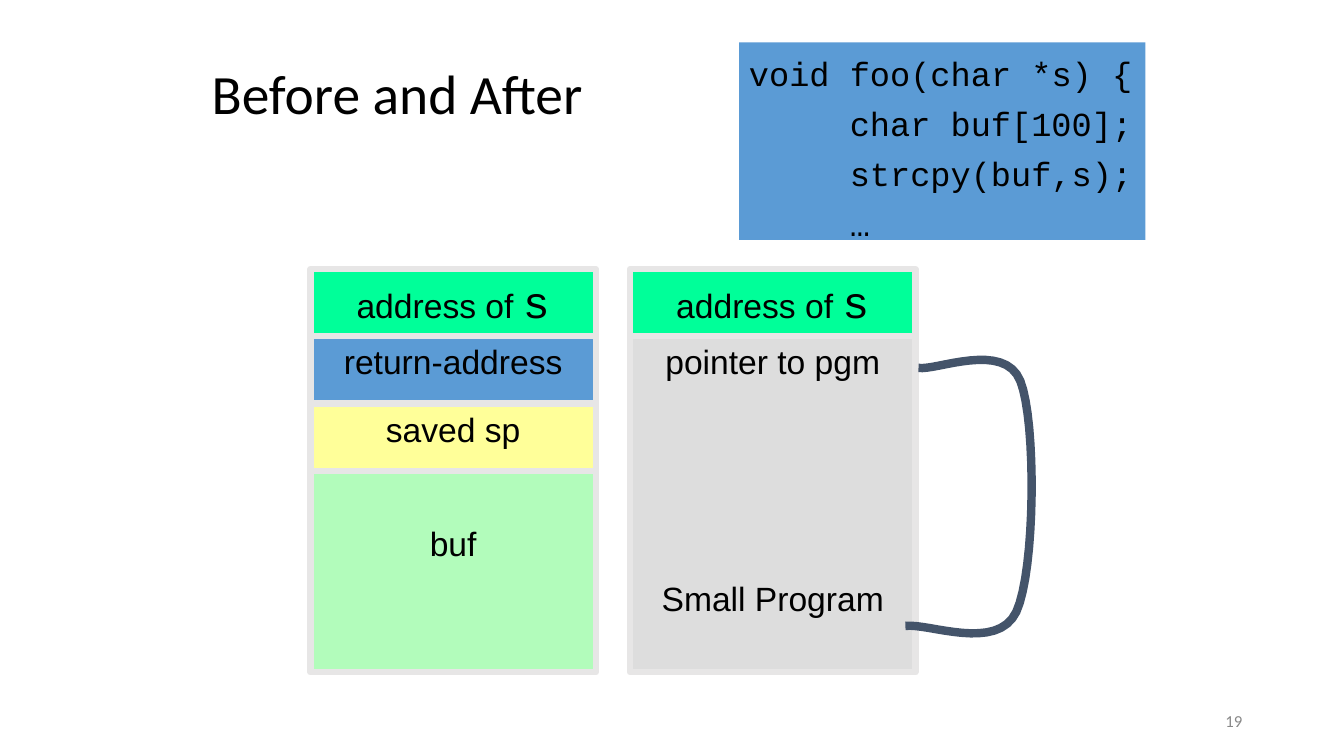
from pptx import Presentation
from pptx import util as u
from pptx.dml.color import RGBColor
from pptx.enum import shapes, text
from pptx.oxml.ns import qn

BLACK = RGBColor(0, 0, 0)
GREY = RGBColor(0x88, 0x88, 0x88)
BLUE = RGBColor(0x5B, 0x9B, 0xD5)
GREEN = RGBColor(0x00, 0xFF, 0x99)
YELLOW = RGBColor(0xFF, 0xFF, 0x99)
MINT = RGBColor(0xB2, 0xFC, 0xBB)
SILVER = RGBColor(0xDD, 0xDD, 0xDD)
BORDER = RGBColor(0xE7, 0xE6, 0xE6)
NAVY = RGBColor(0x44, 0x54, 0x6A)

STACK_LEFT, STACK_TOP = 3.08, 2.67
COL_STEP, COL_WIDTH, ROW = 3.17, 2.83, 2 / 3


class StackSlide:
    body, code, heading = "Arial", "Courier New", "Calibri"

    def __init__(self, prs):
        self.s = prs.slides.add_slide(prs.slide_layouts[5])

    def style(self, run, font, size, color=BLACK):
        run.font.name = font
        run.font.size = u.Pt(size)
        run.font.color.rgb = color

    def title(self, words, left, top, width, height):
        sp = self.s.shapes.title
        sp.left, sp.top, sp.width, sp.height = map(u.Inches, (left, top, width, height))
        tf = sp.text_frame
        tf.text = words
        tf.vertical_anchor = text.MSO_ANCHOR.MIDDLE
        p = tf.paragraphs[0]
        p.alignment = text.PP_ALIGN.LEFT
        p.line_spacing = 0.9
        self.style(p.runs[0], self.heading, 39.6)

    def box(self, left, top, width, height, fill, border=None, inset=0.05):
        sp = self.s.shapes.add_shape(
            shapes.MSO_SHAPE.RECTANGLE, *map(u.Inches, (left, top, width, height)))
        sp.shadow.inherit = False
        sp.fill.solid()
        sp.fill.fore_color.rgb = fill
        if border is None:
            sp.line.fill.background()
        else:
            sp.line.color.rgb = border
            sp.line.width = u.Pt(4.5)
        tf = sp.text_frame
        tf.vertical_anchor = text.MSO_ANCHOR.TOP
        tf.margin_top = u.Inches(inset)
        return tf

    def listing(self, lines, left, top, width, height):
        tf = self.box(left, top, width, height, BLUE, inset=0.11)
        tf.word_wrap = False
        tf.text = "\n".join(lines)
        for i, p in enumerate(tf.paragraphs):
            p.alignment = text.PP_ALIGN.LEFT
            self.style(p.runs[0], self.code, 24)
            if i:
                p.space_before = u.Pt(6.8)
                p._p.get_or_add_pPr().set("marL", str(u.Inches(1)))

    def cell(self, col, row, rows, fill, lines, inset=0.05, gap=0, variable=None):
        tf = self.box(STACK_LEFT + col * COL_STEP, STACK_TOP + row * ROW,
                      COL_WIDTH, rows * ROW, fill, BORDER, inset)
        tf.text = "\n".join(lines)
        for i, p in enumerate(tf.paragraphs):
            p.alignment = text.PP_ALIGN.CENTER
            p.space_before = u.Pt(gap if i else 0)
            self.style(p.runs[0], self.body, 24)
        if variable:
            r = tf.paragraphs[0].add_run()
            r.text = variable
            self.style(r, self.code, 32)

    def curve(self, start, beziers, steps=16):
        points, a = [], start
        for b, c, d in beziers:
            for i in range(1, steps + 1):
                t = i / steps
                points.append(tuple(
                    u.Inches((1 - t) ** 3 * a[k] + 3 * t * (1 - t) ** 2 * b[k]
                             + 3 * t * t * (1 - t) * c[k] + t ** 3 * d[k])
                    for k in (0, 1)))
            a = d
        builder = self.s.shapes.build_freeform(*map(u.Inches, start))
        builder.add_line_segments(points, close=False)
        sp = builder.convert_to_shape()
        sp.shadow.inherit = False
        sp.fill.background()
        sp.line.color.rgb = NAVY
        sp.line.width = u.Pt(6)

    def page_number(self, number, left, top, width, height):
        sp = self.s.shapes.add_textbox(*map(u.Inches, (left, top, width, height)))
        tf = sp.text_frame
        tf.word_wrap = True
        tf.vertical_anchor = text.MSO_ANCHOR.MIDDLE
        tf.text = number
        p = tf.paragraphs[0]
        p.alignment = text.PP_ALIGN.RIGHT
        self.style(p.runs[0], self.heading, 12, GREY)


def main():
    prs = Presentation()
    prs.slide_width, prs.slide_height = u.Inches(13.33), u.Inches(7.5)
    slide = StackSlide(prs)
    slide.title("Before and After", 2, 0.58, 5.22, 0.75)
    slide.listing(["void foo(char *s) {", "char buf[100];", "strcpy(buf,s);", "…"],
                  7.33, 0.42, 4.03, 1.96)
    for col in (0, 1):
        slide.cell(col, 0, 1, GREEN, ["address of "], variable="s")
    slide.cell(0, 1, 1, BLUE, ["return-address"])
    slide.cell(0, 2, 1, YELLOW, ["saved sp"])
    slide.cell(0, 3, 3, MINT, ["buf"], inset=0.52)
    slide.cell(1, 1, 5, SILVER, ["pointer to pgm", "Small Program"], gap=140)
    slide.curve((9.11, 3.65), [
        ((9.28, 3.68), (9.96, 3.38), (10.12, 3.78)),
        ((10.28, 4.18), (10.27, 5.66), (10.08, 6.07)),
        ((9.89, 6.47), (9.21, 6.18), (8.98, 6.21)),
    ])
    slide.page_number("19", 9.42, 6.95, 3, 0.4)
    prs.save("out.pptx")


if __name__ == "__main__":
    main()
